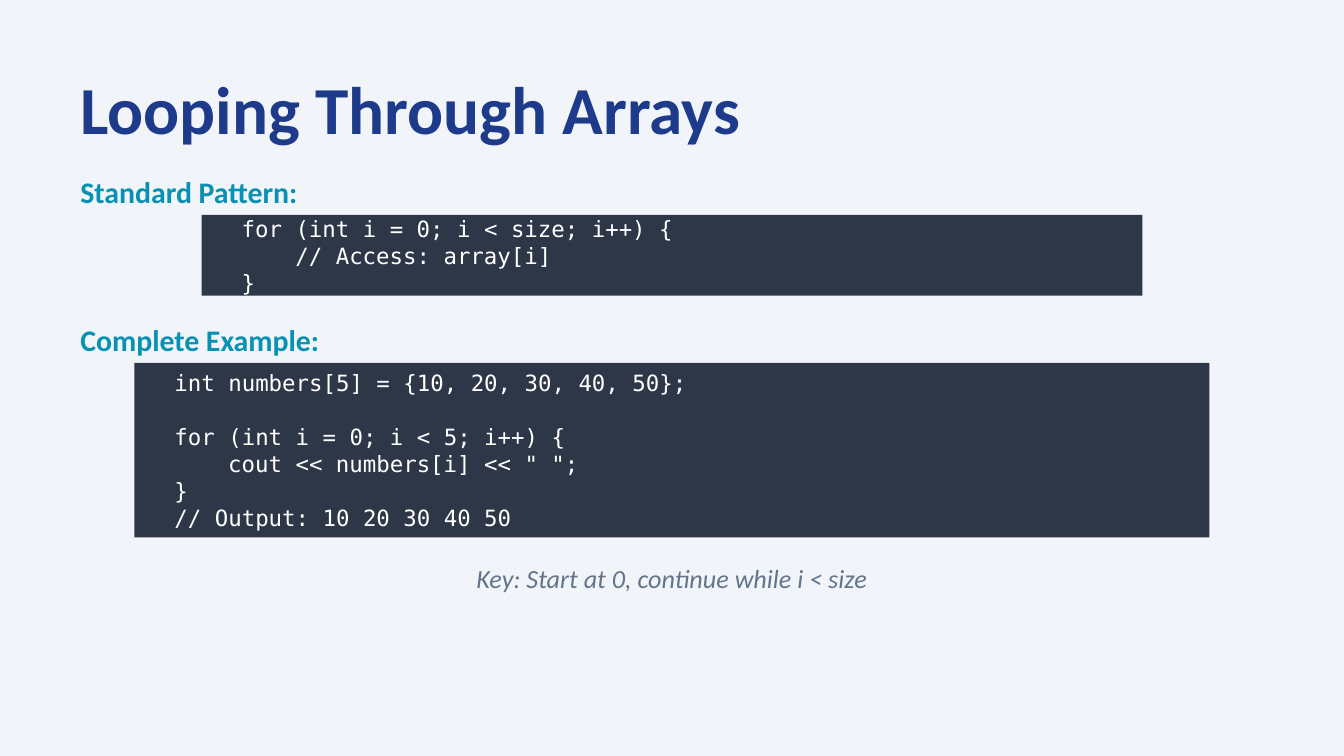
from pptx import Presentation
from pptx.dml.color import RGBColor
from pptx.enum.shapes import MSO_SHAPE
from pptx.enum.text import MSO_ANCHOR, PP_ALIGN
from pptx.util import Inches, Pt

TAB = Inches(0.4)  # four characters of 12 pt code
BLANK_LINE = Pt(14.5)


def rgb(color):
    return RGBColor.from_string(color)


def add_text(box, lines, size, color, font="Calibri", bold=False, italic=False):
    tf = s.shapes.add_textbox(*[Inches(v) for v in box]).text_frame
    tf.word_wrap = True
    tf.vertical_anchor = MSO_ANCHOR.MIDDLE
    for i, line in enumerate(lines):
        p = tf.paragraphs[0] if i == 0 else tf.add_paragraph()
        p.text = line
        p.font.name, p.font.size = font, Pt(size)
        p.font.bold, p.font.italic = bold, italic
        p.font.color.rgb = rgb(color)
    return tf.paragraphs


# 16:9 slide
prs = Presentation()
prs.slide_width = Inches(10)
prs.slide_height = Inches(10 * 9 / 16)
s = prs.slides.add_slide(prs.slide_layouts[6])
s.background.fill.solid()
s.background.fill.fore_color.rgb = rgb("F1F5F9")

# Title
add_text((0.5, 0.5, 9, 0.6), ["Looping Through Arrays"], 36, "1E3A8A", bold=True)

# Code sections: heading, top, panel left, panel width, panel height, text height,
# lines as (code, indent level, blank line before)
sections = [
    ("Standard Pattern:", 1.3, 1.5, 7, 0.6, 0.3, [
        ("for (int i = 0; i < size; i++) {", 0, False),
        ("// Access: array[i]", 1, False),
        ("}", 0, False),
    ]),
    ("Complete Example:", 2.4, 1, 8, 1.3, 1, [
        ("int numbers[5] = {10, 20, 30, 40, 50};", 0, False),
        ("for (int i = 0; i < 5; i++) {", 0, True),
        ('cout << numbers[i] << " ";', 1, False),
        ("}", 0, False),
        ("// Output: 10 20 30 40 50", 0, False),
    ]),
]
for heading, top, left, width, height, text_height, code in sections:
    add_text((0.5, top, 9, 0.25), [heading], 16, "0891B2", bold=True)

    panel = s.shapes.add_shape(MSO_SHAPE.RECTANGLE, Inches(left), Inches(top + 0.3),
                               Inches(width), Inches(height))
    panel.shadow.inherit = False
    panel.fill.solid()
    panel.fill.fore_color.rgb = rgb("2D3748")
    panel.line.fill.background()

    paragraphs = add_text((left + 0.2, top + 0.45, width - 0.4, text_height),
                          [line for line, _, _ in code], 12, "FFFFFF", "DejaVu Sans Mono")
    for p, (_, level, blank_before) in zip(paragraphs, code):
        if level:
            p._p.get_or_add_pPr().set("marL", str(level * TAB))
        if blank_before:
            p.space_before = BLANK_LINE

# Key point
key = add_text((0.5, 4.2, 9, 0.2), ["Key: Start at 0, continue while i < size"],
               14, "64748B", italic=True)
key[0].alignment = PP_ALIGN.CENTER

prs.save("out.pptx")
